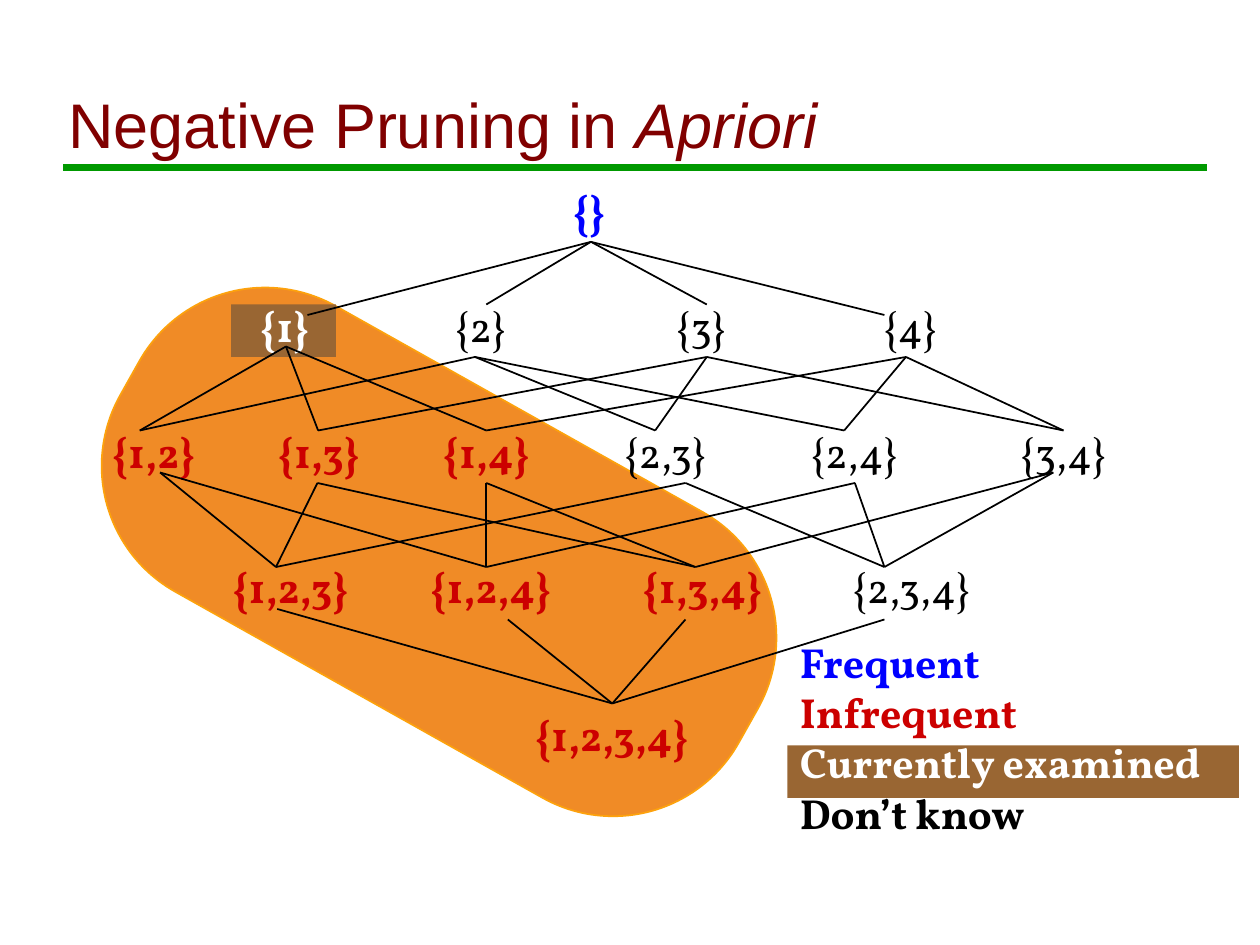
"""Build the Apriori negative pruning slide: an itemset lattice with its legend."""
from itertools import permutations
from typing import NamedTuple

from lxml import etree
from pptx import Presentation
from pptx.dml.color import RGBColor
from pptx.enum import shapes, text
from pptx.oxml import ns
from pptx.util import Pt

COLORS = {
    "title": "800000",
    "rule": "009900",
    "edge": "000000",
    "pruned": "F08B26",
    "pruned_edge": "FDA20D",
    "highlight": "996633",
    "frequent": "0000FF",
    "infrequent": "CC0000",
    "examined": "FFFFFF",
    "unknown": "000000",
}
LEGEND = {
    "frequent": "Frequent",
    "infrequent": "Infrequent",
    "examined": "Currently examined",
    "unknown": "Don’t know",
}
LEVEL_TOPS = (102, 168, 240, 317.5, 402)


class Itemset(NamedTuple):
    center: float
    edge_in: tuple
    edge_out: tuple


LATTICE = {
    "": Itemset(336.6, None, (337.7, 138.2)),
    "1": Itemset(162.7, (175.7, 180), (163.4, 198)),
    "2": Itemset(274.7, (277.9, 174), (271.4, 204)),
    "3": Itemset(400.7, (403.9, 174), (403.9, 204)),
    "4": Itemset(520.2, (505.4, 180), (517.7, 204)),
    "12": Itemset(87.8, (79.9, 246), (91.5, 270)),
    "13": Itemset(182.2, (181.8, 246), (181.4, 276)),
    "14": Itemset(277.9, (277.9, 246), (277.9, 276)),
    "23": Itemset(380.2, (374.4, 246), (391.7, 276)),
    "24": Itemset(488.2, (482.4, 246), (488.5, 276)),
    "34": Itemset(607.7, (607.7, 246), (601.9, 270)),
    "123": Itemset(166, (157.7, 324), (158.4, 348)),
    "124": Itemset(280.4, (277.9, 324), (290.2, 354)),
    "134": Itemset(401.4, (397.4, 324), (391.7, 354)),
    "234": Itemset(520.9, (505.4, 324), (505.4, 354)),
    "1234": Itemset(349.6, (349.9, 402), None),
}


def rgb(name):
    return RGBColor.from_string(COLORS[name])


def status_of(items):
    if items == "":
        return "frequent"
    if items == "1":
        return "examined"
    return "infrequent" if "1" in items else "unknown"


def style_run(run, size, font_name, color, bold=None):
    run.font.size = Pt(size)
    run.font.name = font_name
    run.font.color.rgb = rgb(color)
    run.font.bold = bold


def add_title(slide):
    title = slide.shapes.title
    title.left, title.top, title.width, title.height = Pt(31.7), Pt(18), Pt(645.8), Pt(77.8)
    title.text_frame.vertical_anchor = text.MSO_ANCHOR.BOTTOM
    heading = title.text_frame.paragraphs[0]
    heading.alignment = text.PP_ALIGN.LEFT
    for words, italic in (("Negative Pruning in ", False), ("Apriori", True)):
        run = heading.add_run()
        run.text = words
        style_run(run, 36, "Arial", "title")
        run.font.italic = italic


def add_line(slide, start, end, color, width):
    line = slide.shapes.add_connector(
        shapes.MSO_CONNECTOR.STRAIGHT, *(Pt(value) for value in start + end))
    line.line.color.rgb = rgb(color)
    line.line.width = Pt(width)
    properties = line._element.find(ns.qn("p:spPr"))
    etree.SubElement(properties, ns.qn("a:effectLst"))


def add_block(slide, kind, box, fill, outline=None):
    block = slide.shapes.add_shape(kind, *(Pt(value) for value in box))
    block.shadow.inherit = False
    block.fill.solid()
    block.fill.fore_color.rgb = rgb(fill)
    if outline:
        block.line.color.rgb = rgb(outline)
        block.line.width = Pt(1)
    else:
        block.line.fill.background()
    return block


def add_pruned_region(slide):
    region = add_block(slide, shapes.MSO_SHAPE.ROUNDED_RECTANGLE,
                       (48.2, 221.8, 405.4, 187.2), "pruned", "pruned_edge")
    region.adjustments[0] = 0.44
    region.rotation = 29.3


def add_itemset(slide, items):
    width = max(35, 28 + 20.4 * len(items))
    left = LATTICE[items].center - width / 2
    label = slide.shapes.add_textbox(Pt(left), Pt(LEVEL_TOPS[len(items)]), Pt(width), Pt(36))
    frame = label.text_frame
    frame.word_wrap = False
    frame.auto_size = text.MSO_AUTO_SIZE.SHAPE_TO_FIT_TEXT
    frame.text = "{" + ",".join(items) + "}"
    paragraph = frame.paragraphs[0]
    paragraph.alignment = text.PP_ALIGN.CENTER
    status = status_of(items)
    style_run(paragraph.runs[0], 24, "Vollkorn", status, status != "unknown")


def add_edges(slide):
    for subset, superset in permutations(LATTICE, 2):
        if len(superset) == len(subset) + 1 and set(subset) < set(superset):
            add_line(slide, LATTICE[subset].edge_out, LATTICE[superset].edge_in, "edge", 1)


def add_legend(slide):
    add_block(slide, shapes.MSO_SHAPE.RECTANGLE, (450, 426, 258, 30), "highlight")
    legend = slide.shapes.add_textbox(Pt(450), Pt(360), Pt(258), Pt(151.2))
    frame = legend.text_frame
    frame.word_wrap = True
    frame.auto_size = text.MSO_AUTO_SIZE.SHAPE_TO_FIT_TEXT
    frame.text = "\n".join(LEGEND.values())
    for status, paragraph in zip(LEGEND, frame.paragraphs):
        style_run(paragraph.runs[0], 24, "Vollkorn", status, True)


def main():
    deck = Presentation()
    deck.slide_width, deck.slide_height = Pt(720), Pt(540)
    slide = deck.slides.add_slide(deck.slide_layouts[5])
    add_line(slide, (36, 96), (690, 96), "rule", 4)
    add_pruned_region(slide)
    add_block(slide, shapes.MSO_SHAPE.RECTANGLE, (132, 174, 60, 30), "highlight")
    add_title(slide)
    for items in LATTICE:
        add_itemset(slide, items)
    add_edges(slide)
    add_legend(slide)
    deck.save("out.pptx")


if __name__ == "__main__":
    main()
